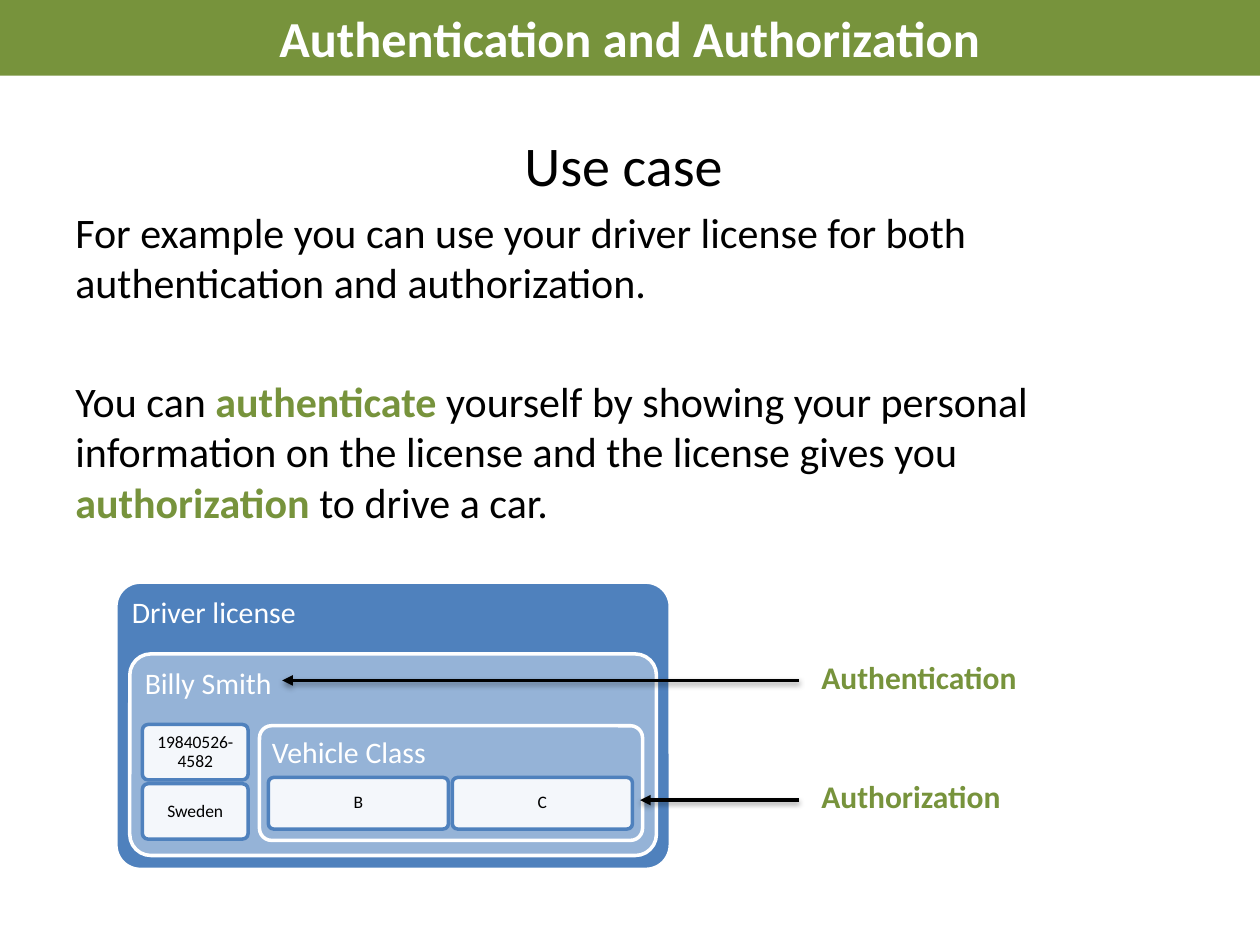
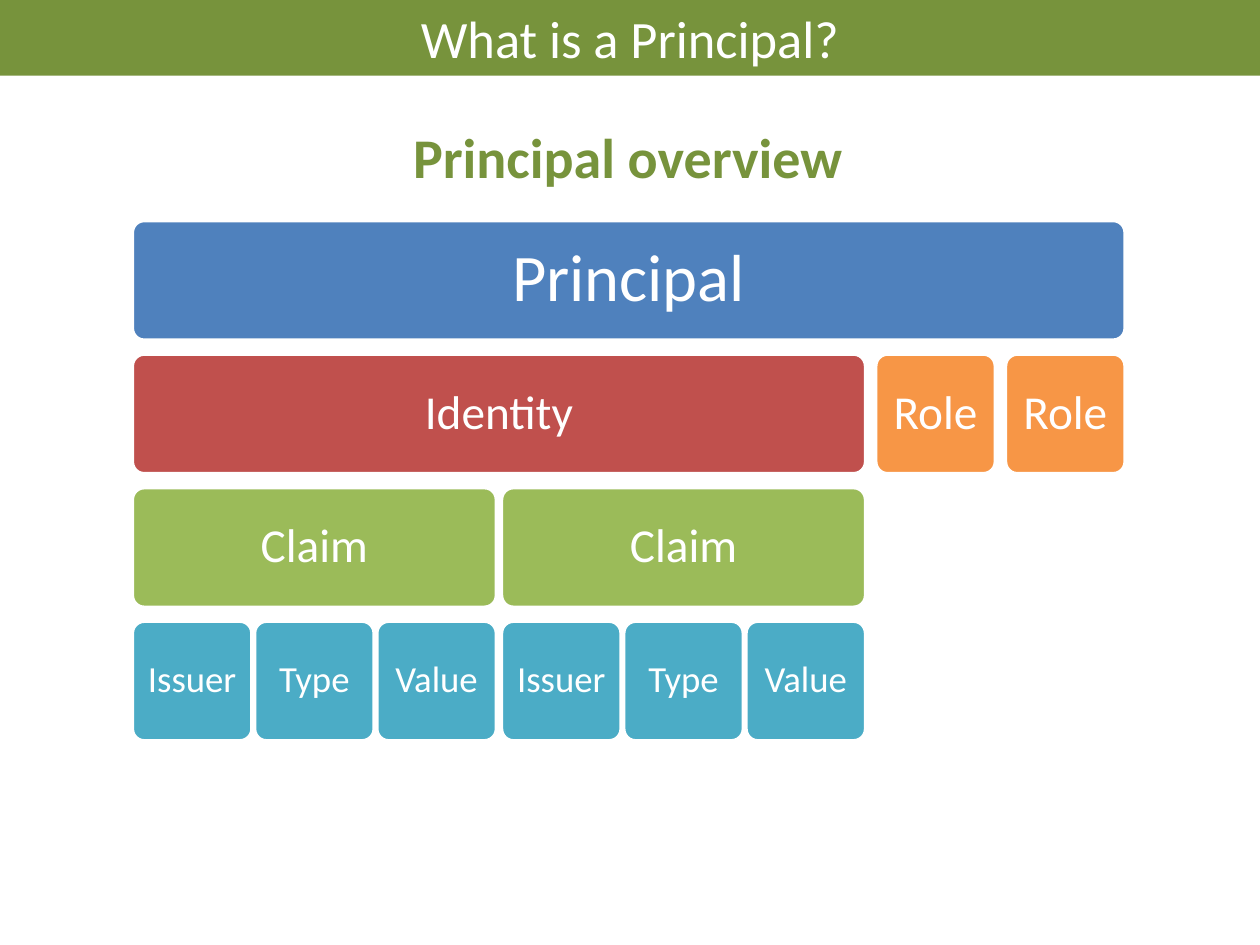
"""Build two slides on authentication, authorization and principals."""
from lxml import etree
from pptx import Presentation
from pptx import util as u
from pptx.dml.color import RGBColor
from pptx.enum import shapes, text
from pptx.oxml import parse_xml
from pptx.oxml.ns import nsdecls, qn

COLORS = {
    "green": "77933C", "white": "FFFFFF", "black": "000000",
    "blue": "4F81BD", "pale blue": "95B3D7", "red": "C0504D",
    "lime": "9BBB59", "teal": "4BACC6", "orange": "F79646",
}
FONT = "Calibri"
CENTER = text.PP_ALIGN.CENTER

# Each level of the principal tree: font size, text margin, gap between children
LEVELS = [(38, 0.16, 0.08), (27, 0.11, 0.04), (27, 0.11, 0.02), (21, 0.09, 0)]
BLOCK = 0.95
ROW_STEP = 1.06
# A tree node is label, colour and children
CLAIM = ("Claim", "lime", [(name, "teal", []) for name in ("Issuer", "Type", "Value")])
ROLE = ("Role", "orange", [])
PRINCIPAL = ("Principal", "blue", [("Identity", "red", [CLAIM, CLAIM]), ROLE, ROLE])


def rgb(name):
    """Return the named colour."""
    return RGBColor.from_string(COLORS[name])


def inches(*values):
    """Convert several lengths to Inches."""
    return [u.Inches(value) for value in values]


def style_run(run, size, color, bold=False):
    """Give a run its font."""
    run.font.name = FONT
    run.font.size = u.Pt(size)
    run.font.bold = bold
    run.font.color.rgb = rgb(color)


def add_runs(paragraph, parts, size):
    """Write (wording, colour, bold) parts into a paragraph."""
    for wording, color, bold in parts:
        run = paragraph.add_run()
        run.text = wording
        style_run(run, size, color, bold)


def add_band(slide, title, size, bold=False):
    """Add the title band across the top of a slide."""
    band = slide.shapes.add_shape(shapes.MSO_SHAPE.RECTANGLE, *inches(0, 0, 10, 0.6))
    band.shadow.inherit = False
    band.fill.solid()
    band.fill.fore_color.rgb = rgb("green")
    band.line.fill.background()
    band.text_frame.vertical_anchor = text.MSO_ANCHOR.MIDDLE
    paragraph = band.text_frame.paragraphs[0]
    paragraph.alignment = CENTER
    add_runs(paragraph, [(title, "white", bold)], size)


def add_box(slide, place, label, size, fill, margin, line="white", color="white",
            corner=0.1, centered=True):
    """Add a rounded box with its label."""
    box = slide.shapes.add_shape(shapes.MSO_SHAPE.ROUNDED_RECTANGLE, *inches(*place))
    box.adjustments[0] = corner
    box.shadow.inherit = False
    box.fill.solid()
    box.fill.fore_color.rgb = rgb(fill)
    box.line.color.rgb = rgb(line)
    box.line.width = u.Pt(2)
    frame = box.text_frame
    frame.word_wrap = True
    frame.margin_left = frame.margin_right = u.Inches(margin)
    frame.margin_top = frame.margin_bottom = u.Inches(margin)
    frame.vertical_anchor = text.MSO_ANCHOR.MIDDLE if centered else text.MSO_ANCHOR.TOP
    paragraph = frame.paragraphs[0]
    paragraph.alignment = CENTER if centered else text.PP_ALIGN.LEFT
    paragraph.line_spacing = 0.9
    add_runs(paragraph, [(label, color, False)], size)
    return box


def add_panel(slide, place, label, fill, corner=0.105):
    """Add a large box with its heading at the top left."""
    add_box(slide, place, label, 17, fill, 0.07, corner=corner, centered=False)


def add_field(slide, place, label):
    """Add a small, slightly see-through field of the license."""
    field = add_box(slide, place, label, 10, "white", 0.04, "blue", "black", 0.105)
    fill_color = field.fill._xPr.find(qn("a:solidFill"))[0]
    etree.SubElement(fill_color, qn("a:alpha")).set("val", "90000")


def add_text(slide, place, wording, size, wrap=True):
    """Add a bold green line of text."""
    frame = slide.shapes.add_textbox(*inches(*place)).text_frame
    frame.word_wrap = wrap
    add_runs(frame.paragraphs[0], [(wording, "green", True)], size)


def add_arrow(slide, start, end, y):
    """Add a horizontal arrow with a soft shadow."""
    arrow = slide.shapes.add_connector(
        shapes.MSO_CONNECTOR.STRAIGHT, *inches(start, y, end, y))
    arrow.line.color.rgb = rgb("black")
    arrow.line.width = u.Pt(2)
    outline = arrow.line._get_or_add_ln()
    etree.SubElement(outline, qn("a:tailEnd")).set("type", "triangle")
    arrow._element.spPr.append(parse_xml(
        f'<a:effectLst {nsdecls("a")}><a:outerShdw blurRad="{u.Pt(3.1)}" '
        f'dist="{u.Pt(1.6)}" dir="5400000" rotWithShape="0">'
        f'<a:srgbClr val="{COLORS["black"]}"><a:alpha val="38000"/></a:srgbClr>'
        '</a:outerShdw></a:effectLst>'))


def add_use_case(slide):
    """Add the heading and paragraphs that explain the use case."""
    frame = slide.shapes.add_textbox(*inches(0.5, 0.99, 9, 3.5)).text_frame
    frame.word_wrap = True
    heading = frame.paragraphs[0]
    heading.alignment = CENTER
    add_runs(heading, [("Use case ", "black", False)], 32)
    paragraphs = [
        (4.8, [("For example you can use your driver license for both "
                "authentication and authorization.", "black", False)]),
        (39, [("You can ", "black", False),
              ("authenticate ", "green", True),
              ("yourself by showing your personal information on the license "
               "and the license gives you ", "black", False),
              ("authorization ", "green", True),
              ("to drive a car.", "black", False)]),
    ]
    for space, parts in paragraphs:
        paragraph = frame.add_paragraph()
        paragraph.space_before = u.Pt(space)
        add_runs(paragraph, parts, 24)


def add_license(slide):
    """Add the driver license with its nested panels and fields."""
    add_panel(slide, (0.92, 4.62, 4.4, 2.28), "Driver license", "blue", 0.085)
    add_panel(slide, (1.03, 5.19, 4.18, 1.6), "Billy Smith", "pale blue")
    for row, label in enumerate(("19840526-4582", "Sweden")):
        add_field(slide, (1.13, 5.75 + 0.47 * row, 0.84, 0.44), label)
    add_panel(slide, (2.06, 5.76, 3.04, 0.91), "Vehicle Class", "pale blue")
    for column, label in enumerate(("B", "C")):
        add_field(slide, (2.13 + 1.46 * column, 6.17, 1.43, 0.41), label)


def tree_width(node, level):
    """Return the width of a node: its children and the gaps between them."""
    children = node[2]
    if not children:
        return BLOCK
    gaps = LEVELS[level][2] * (len(children) - 1)
    return sum(tree_width(child, level + 1) for child in children) + gaps


def add_tree(slide, node, left, top, level=0):
    """Add a node as a block, with its children in the row below."""
    label, color, children = node
    size, margin, gap = LEVELS[level]
    add_box(slide, (left, top, tree_width(node, level), BLOCK), label, size, color, margin)
    for child in children:
        add_tree(slide, child, left, top + ROW_STEP, level + 1)
        left += tree_width(child, level + 1) + gap


def build_use_case_slide(slide):
    """Fill the slide about the driver license."""
    add_band(slide, "Authentication and Authorization", 28.8, bold=True)
    add_use_case(slide)
    add_license(slide)
    for label, tip, y in (("Authentication", 2.24, 5.4), ("Authorization", 5.08, 6.35)):
        add_arrow(slide, 6.34, tip, y)
        add_text(slide, (6.42, y - 0.23, 2.52, 0.4), label, 18)


def build_principal_slide(slide):
    """Fill the slide about the parts of a principal."""
    add_band(slide, "What is a Principal?", 30)
    add_tree(slide, PRINCIPAL, 1.05, 1.75)
    add_text(slide, (3.18, 0.92, 3.64, 0.64), "Principal overview", 32, wrap=False)


def main():
    """Build and save the presentation."""
    presentation = Presentation()
    presentation.slide_width, presentation.slide_height = inches(10, 7.5)
    blank = presentation.slide_layouts[6]
    for build in (build_use_case_slide, build_principal_slide):
        build(presentation.slides.add_slide(blank))
    presentation.save("out.pptx")


main()
